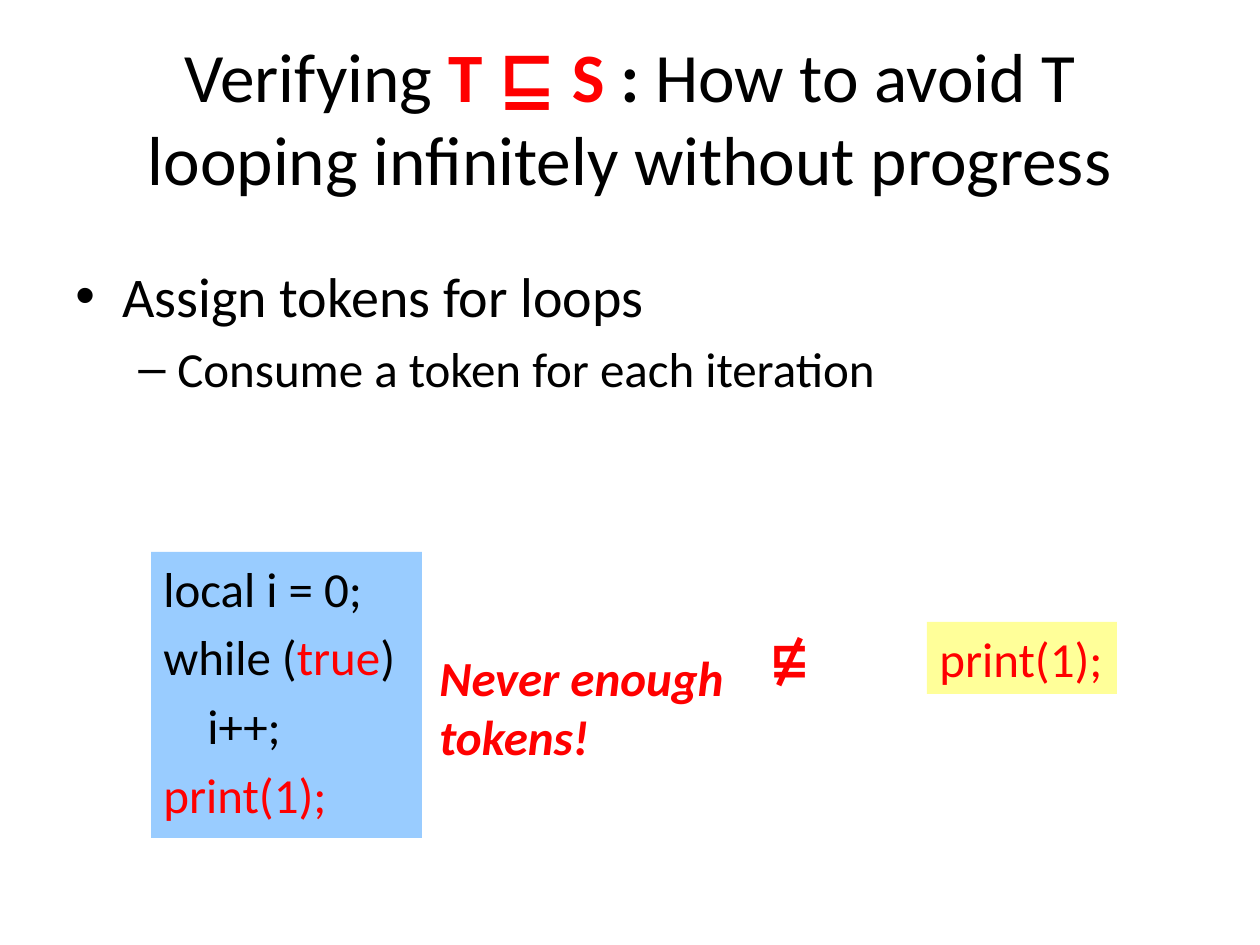
from lxml import etree
from pptx import Presentation
from pptx import util as u
from pptx.dml.color import RGBColor
from pptx.enum import shapes, text
from pptx.oxml.ns import qn

SCALE = 914400 // 126
BLACK = RGBColor(0, 0, 0)
RED = RGBColor(255, 0, 0)
BLUE = RGBColor(0x99, 0xCC, 0xFF)
YELLOW = RGBColor(0xFF, 0xFF, 0x99)


def px(value):
    return u.Emu(value * SCALE)


def add_text(box, paragraphs, size=28, align=text.PP_ALIGN.LEFT,
             anchor=text.MSO_ANCHOR.TOP, wrap=False, spacing=0.2):
    frame = box.text_frame
    frame.word_wrap = wrap
    frame.vertical_anchor = anchor
    for index, (runs, options) in enumerate(paragraphs):
        paragraph = frame.paragraphs[0] if index == 0 else frame.add_paragraph()
        points = options.get("size", size)
        paragraph.alignment = align
        paragraph.space_before = u.Pt(round(points * spacing, 1))
        properties = paragraph._p.get_or_add_pPr()
        properties.set("marL", str(px(options.get("margin", 0))))
        properties.set("indent", str(px(options.get("indent", 0))))
        if "bullet" in options:
            font = etree.SubElement(properties, qn("a:buFont"))
            font.set("typeface", "Arial")
            bullet = etree.SubElement(properties, qn("a:buChar"))
            bullet.set("char", options["bullet"])
        for words, color, style, typeface in runs:
            run = paragraph.add_run()
            run.text = words
            run.font.name = typeface
            run.font.size = u.Pt(points)
            run.font.color.rgb = color
            run.font.bold = "b" in style
            run.font.italic = "i" in style


def plain(words, color=BLACK, style="", typeface="Calibri"):
    return words, color, style, typeface


presentation = Presentation()
presentation.slide_width = px(1260)
presentation.slide_height = px(945)
slide = presentation.slides.add_slide(presentation.slide_layouts[6])

title = slide.shapes.add_textbox(px(63), px(38), px(1134), px(157))
add_text(title, [([
    plain("Verifying "),
    plain("T ", RED, "b"),
    plain("⊑", RED, "b", "Roboto"),
    plain(" S ", RED, "b"),
    plain(": ", BLACK, "b"),
    plain("How to avoid T looping infinitely without progress"),
], {})], size=39.6, align=text.PP_ALIGN.CENTER,
    anchor=text.MSO_ANCHOR.MIDDLE, wrap=True, spacing=0)

body = slide.shapes.add_textbox(px(63), px(255), px(1134), px(238))
add_text(body, [
    ([plain("Assign tokens for loops")],
     {"size": 32, "bullet": "•", "margin": 47, "indent": -47}),
    ([plain("Consume a token for each iteration")],
     {"bullet": "–", "margin": 102, "indent": -39}),
], wrap=True)

code_lines = [
    ([plain("local i = 0;")], {}),
    ([plain("while ("), plain("true", RED), plain(") ")], {}),
    ([plain("i++;")], {"margin": 44}),
    ([plain("print(1);", RED)], {}),
]
for left, top, width, height, color, lines in [
    (151, 552, 271, 286, BLUE, code_lines),
    (927, 622, 190, 72, YELLOW, code_lines[-1:]),
]:
    code = slide.shapes.add_shape(shapes.MSO_SHAPE.RECTANGLE,
                                  px(left), px(top), px(width), px(height))
    code.shadow.inherit = False
    code.fill.solid()
    code.fill.fore_color.rgb = color
    code.line.fill.background()
    add_text(code, lines)

relation = slide.shapes.add_textbox(px(757), px(622), px(60), px(72))
add_text(relation, [([plain("⋢", RED, "b", "Roboto")], {})])

remark = slide.shapes.add_textbox(px(427), px(641), px(312), px(131))
add_text(remark, [([plain("Never enough tokens!", RED, "bi")], {})],
         wrap=True, spacing=0)

presentation.save("out.pptx")
